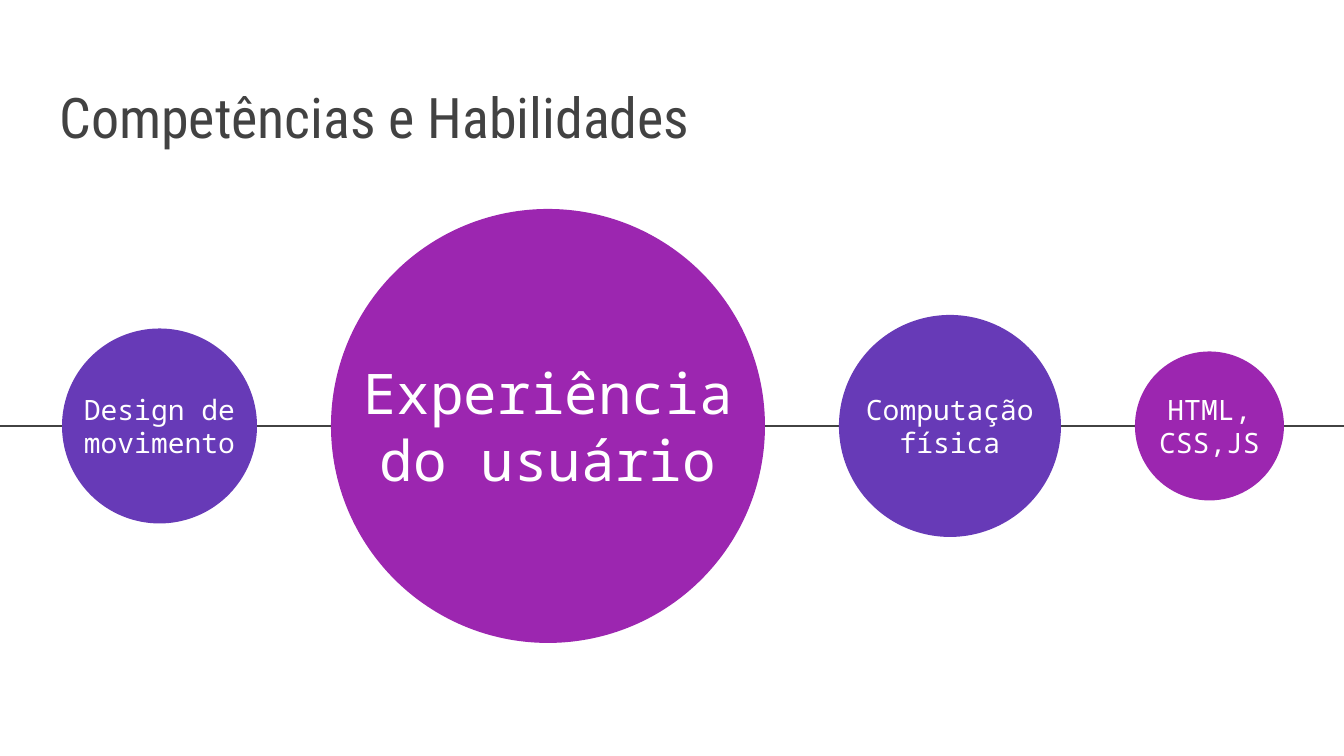
import pptx
import pptx.util
import pptx.dml.color
import pptx.enum.shapes
import pptx.enum.text
import lxml.etree
from dataclasses import dataclass


@dataclass(frozen=True)
class Theme:
    """Colours, fonts and type sizes of the slide."""
    ink: str = "424242"
    light: str = "FFFFFF"
    violet: str = "673AB7"
    purple: str = "9C26B0"
    head: str = "Roboto Condensed"
    mono: str = "Noto Sans Mono"
    large: int = 30
    small: int = 15


THEME = Theme()
WIDTH, HEIGHT = 1344, 756
ALIGN = pptx.enum.text.PP_ALIGN
ANCHOR = pptx.enum.text.MSO_ANCHOR
SKILLS = [
    ("Design de movimento", 195, THEME.violet, THEME.small),
    ("Experiência do usuário", 434, THEME.purple, THEME.large),
    ("Computação física", 222, THEME.violet, THEME.small),
    ("HTML, CSS,JS", 149, THEME.purple, THEME.small),
]


def px(count):
    """Turn px into EMU."""
    return pptx.util.Emu(round(count * 914400 / 134.4))


def rgb(code):
    """Turn a hex code into a colour."""
    return pptx.dml.color.RGBColor.from_string(code)


def write(shape, text, *, font, size, color, align, anchor):
    """Fill a shape with formatted text."""
    frame = shape.text_frame
    frame.auto_size = pptx.enum.text.MSO_AUTO_SIZE.NONE
    frame.word_wrap = True
    frame.vertical_anchor = anchor
    frame.margin_left = frame.margin_right = pptx.util.Inches(0.1)
    frame.margin_top = frame.margin_bottom = pptx.util.Inches(0.1)
    para = frame.paragraphs[0]
    para.alignment = align
    run = para.add_run()
    run.text = text
    run.font.name = font
    run.font.size = pptx.util.Pt(size)
    run.font.color.rgb = rgb(color)


def add_title(slide, left, top, width, height):
    """Place the title in its box."""
    title = slide.shapes.title
    title.left, title.top = px(left), px(top)
    title.width, title.height = px(width), px(height)
    write(title, "Competências e Habilidades", font=THEME.head,
          size=THEME.large, color=THEME.ink, align=ALIGN.LEFT,
          anchor=ANCHOR.BOTTOM)


def add_axis(slide, left, mid, width):
    """Draw the level line behind the circles."""
    line = slide.shapes.add_connector(
        pptx.enum.shapes.MSO_CONNECTOR.STRAIGHT,
        px(left), px(mid), px(left + width), px(mid))
    line.line.color.rgb = rgb(THEME.ink)
    line.line.width = pptx.util.Pt(1.5)
    props = line.element.spPr
    lxml.etree.SubElement(props, pptx.oxml.ns.qn("a:effectLst"))


def add_skill(slide, left, mid, size, text, fill, points):
    """Draw a circle with its label across the middle."""
    disc = slide.shapes.add_shape(
        pptx.enum.shapes.MSO_SHAPE.OVAL,
        px(left), px(mid - size / 2), px(size), px(size))
    disc.shadow.inherit = False
    disc.fill.solid()
    disc.fill.fore_color.rgb = rgb(fill)
    disc.line.fill.background()
    tall = 88
    label = slide.shapes.add_textbox(
        px(left), px(mid - tall / 2), px(size), px(tall))
    write(label, text, font=THEME.mono, size=points, color=THEME.light,
          align=ALIGN.CENTER, anchor=ANCHOR.MIDDLE)


def add_chain(slide, left, mid, gap):
    """Set the skill circles in a row with equal gaps."""
    for text, size, fill, points in SKILLS:
        add_skill(slide, left, mid, size, text, fill, points)
        left += size + gap


def main():
    """Build and save the slide."""
    deck = pptx.Presentation()
    deck.slide_width, deck.slide_height = px(WIDTH), px(HEIGHT)
    slide = deck.slides.add_slide(deck.slide_layouts[5])
    add_axis(slide, 0, 426, WIDTH)
    add_title(slide, 46, 55, 1253, 108)
    add_chain(slide, 62, 426, 74)
    deck.save("out.pptx")


if __name__ == "__main__":
    main()
